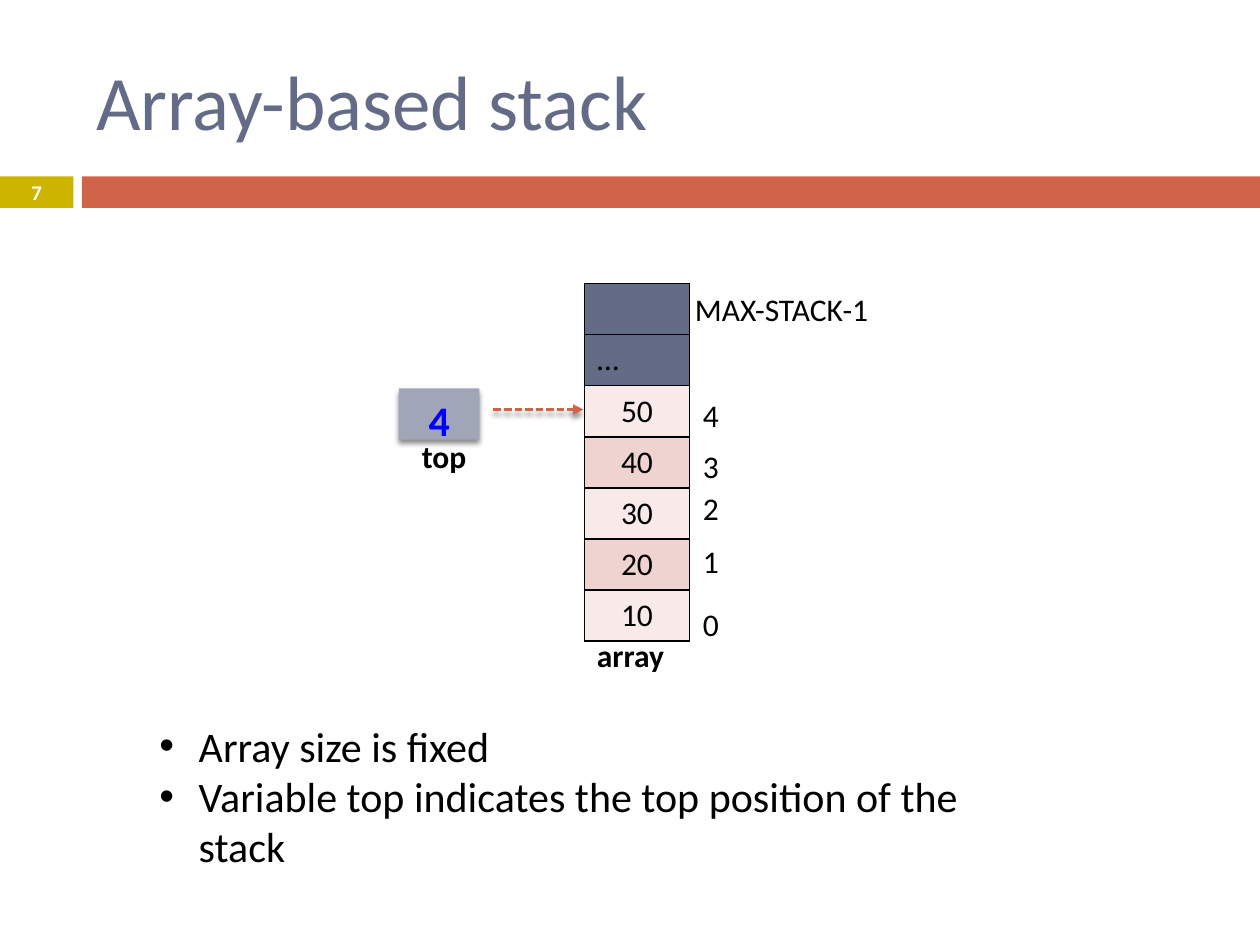
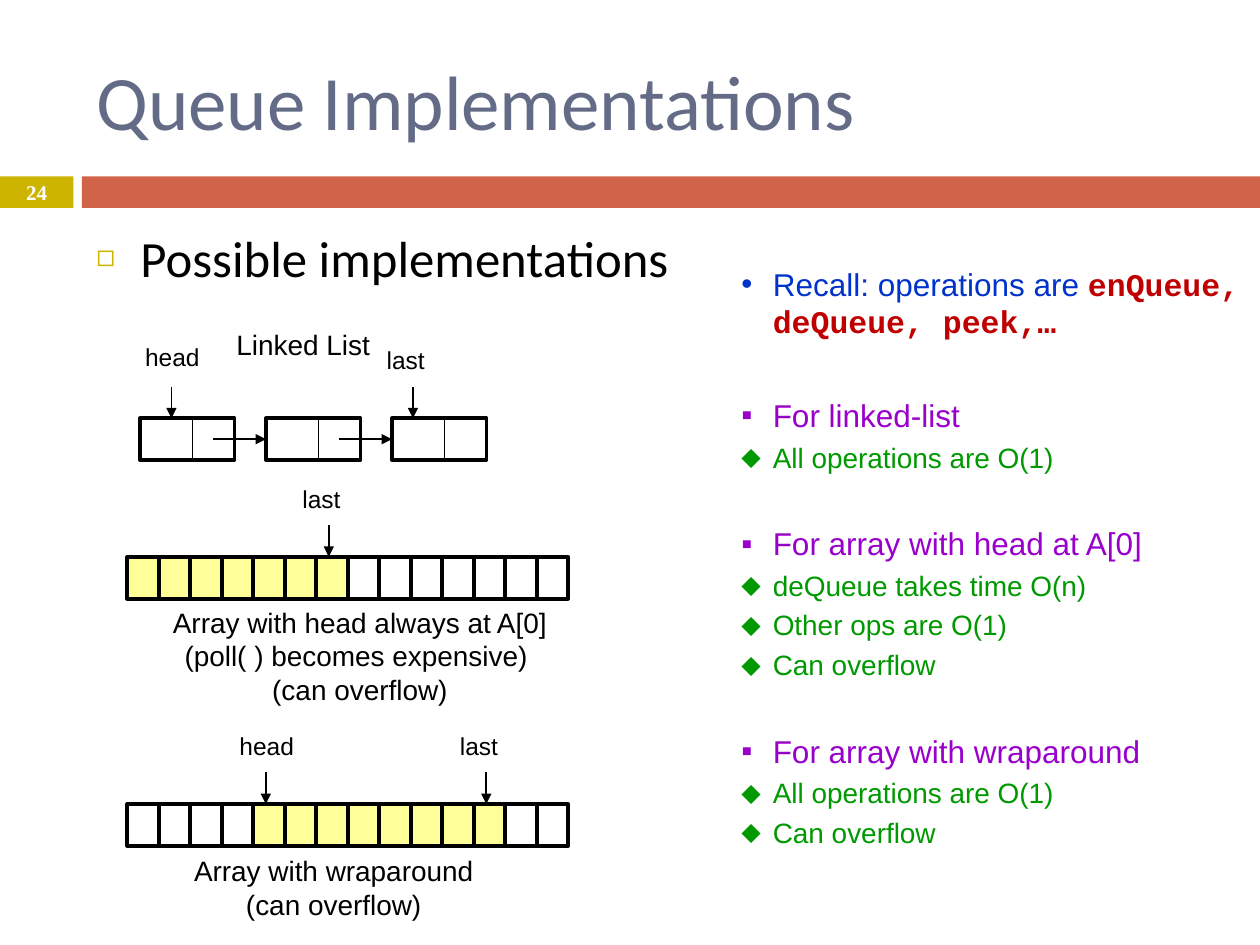
from copy import deepcopy

from lxml import etree
from pptx import Presentation
from pptx.dml.color import RGBColor
from pptx.enum.dml import MSO_LINE
from pptx.enum.shapes import MSO_CONNECTOR, MSO_SHAPE
from pptx.enum.text import MSO_ANCHOR, PP_ALIGN
from pptx.oxml.ns import qn
from pptx.util import Pt

STRAIGHT = MSO_CONNECTOR.STRAIGHT
RECTANGLE = MSO_SHAPE.RECTANGLE
DASHED = MSO_LINE.SQUARE_DOT
LEFT, CENTER = PP_ALIGN.LEFT, PP_ALIGN.CENTER
TOP, MIDDLE = MSO_ANCHOR.TOP, MSO_ANCHOR.MIDDLE

BLACK = RGBColor(0x00, 0x00, 0x00)
WHITE = RGBColor(0xFF, 0xFF, 0xFF)
SLATE = RGBColor(0x64, 0x6B, 0x86)
PALE_SLATE = RGBColor(0xA0, 0xA5, 0xB8)
GOLD = RGBColor(0xCC, 0xB4, 0x00)
RUST = RGBColor(0xD1, 0x63, 0x49)
LIGHT_PINK = RGBColor(0xF7, 0xEA, 0xE9)
PINK = RGBColor(0xEE, 0xD3, 0xD0)
BRIGHT_BLUE = RGBColor(0x00, 0x00, 0xFF)
BLUE = RGBColor(0x00, 0x33, 0xCC)
RED = RGBColor(0xC0, 0x00, 0x00)
PURPLE = RGBColor(0x99, 0x00, 0xCC)
GREEN = RGBColor(0x00, 0x99, 0x00)
YELLOW = RGBColor(0xFF, 0xFF, 0x99)

PLAIN = (7.2, 3.6, 7.2, 3.6)
TIGHT = (2.88, 0, 2.88, 0)
CELL = 18
CELL_HEIGHT = 24
CELL_COUNT = 14


def points(values):
    return [Pt(value) for value in values]


def child(parent, tag, **attributes):
    return etree.SubElement(parent, qn(tag), attributes)


def format_span(span, size=18, font="Calibri", color=BLACK, bold=False):
    span.font.size = Pt(size)
    span.font.name = font
    span.font.color.rgb = color
    span.font.bold = bold


def write(para, text, align=LEFT, **style):
    para.text = text
    para.alignment = align
    for span in para.runs:
        format_span(span, **style)
    for line_break in para._p.findall(qn("a:br")):
        line_break.append(deepcopy(para.runs[0]._r.rPr))


def add_bullet(para, symbol, color, indent, hanging, scale=100):
    props = para._p.get_or_add_pPr()
    props.set("marL", str(Pt(indent)))
    props.set("indent", str(-Pt(hanging)))
    child(child(props, "a:buClr"), "a:srgbClr", val=str(color))
    child(props, "a:buSzPct", val=str(scale * 1000))
    child(props, "a:buFont", typeface="Arial")
    child(props, "a:buChar", char=symbol)


def prepare_frame(shape, anchor=TOP, insets=PLAIN):
    frame = shape.text_frame
    frame.word_wrap = True
    frame.vertical_anchor = anchor
    (frame.margin_left, frame.margin_top,
     frame.margin_right, frame.margin_bottom) = points(insets)
    return frame


def add_text(page, text, box, anchor=TOP, insets=PLAIN, **style):
    shape = page.shapes.add_textbox(*points(box))
    frame = prepare_frame(shape, anchor, insets)
    write(frame.paragraphs[0], text, **style)
    return frame


def set_effects(shape, shadow=False):
    effects = child(shape._element.spPr, "a:effectLst")
    if shadow:
        outer = child(effects, "a:outerShdw", blurRad=str(Pt(3)), dist=str(Pt(2.4)),
                      dir="5400000", rotWithShape="0")
        child(child(outer, "a:srgbClr", val=str(BLACK)), "a:alpha", val="45000")


def add_box(page, box, fill=None, outline=None, shadow=False):
    shape = page.shapes.add_shape(RECTANGLE, *points(box))
    if fill is None:
        shape.fill.background()
    else:
        shape.fill.solid()
        shape.fill.fore_color.rgb = fill
    if outline is None:
        shape.line.fill.background()
    else:
        shape.line.color.rgb = outline
        shape.line.width = Pt(2)
    set_effects(shape, shadow)
    return shape


def add_line(page, start, end, color=BLACK, width=1, arrow=True, dash=None, shadow=False):
    line = page.shapes.add_connector(STRAIGHT, *points(start + end))
    line.line.color.rgb = color
    line.line.width = Pt(width)
    if dash is not None:
        line.line.dash_style = dash
    if arrow:
        child(line.line._get_or_add_ln(), "a:tailEnd", type="triangle")
    set_effects(line, shadow)


def add_page(deck, title, number, **number_style):
    page = deck.slides.add_slide(deck.slide_layouts[6])
    add_box(page, (0, 100.8, 42, 18), GOLD)
    add_box(page, (46.8, 100.8, 673.2, 18), RUST)
    add_text(page, title, (48, 18, 642, 78), anchor=MIDDLE, size=44, color=SLATE)
    add_text(page, number, (0, 100, 42, 19.5), anchor=MIDDLE, align=CENTER,
             color=WHITE, bold=True, **number_style)
    return page


def format_cell(cell, text, fill, align):
    cell.vertical_anchor = TOP
    if text:
        write(cell.text_frame.paragraphs[0], text, align=align)
    props = cell._tc.get_or_add_tcPr()
    for side in ("a:lnL", "a:lnR", "a:lnT", "a:lnB"):
        border = child(props, side, w=str(Pt(1)))
        child(child(border, "a:solidFill"), "a:srgbClr", val=str(BLACK))
    cell.fill.solid()
    cell.fill.fore_color.rgb = fill


def draw_stack_array(page, box):
    left, top, width, height = box
    values = ("", "…", "50", "40", "30", "20", "10")
    table = page.shapes.add_table(len(values), 1, *points(box)).table
    table.first_row = table.horz_banding = False
    for index, value in enumerate(values):
        table.rows[index].height = Pt(height / len(values))
        if index < 2:
            fill, align = SLATE, LEFT
        else:
            fill, align = (LIGHT_PINK, PINK)[index % 2], CENTER
        format_cell(table.cell(index, 0), value, fill, align)
    add_text(page, "array", (left, top + 198, 58, 29), bold=True)
    add_text(page, "MAX-STACK-1", (left + 56, top, 120, 29))
    for index, offset in enumerate((180, 144, 114, 90, 61)):
        add_text(page, str(index), (left + 60.6, top + offset, 26, 29))


def draw_top_variable(page, box):
    left, top, width, height = box
    add_line(page, (left + 54, top + 12), (left + 105.4, top + 12), color=RUST,
             width=1.5, dash=DASHED, shadow=True)
    add_text(page, "top", (left + 6, top + 24, 60, 29), bold=True)
    frame = prepare_frame(add_box(page, box, PALE_SLATE, shadow=True))
    write(frame.paragraphs[0], "4", align=CENTER, size=24, color=BRIGHT_BLUE, bold=True)


def draw_stack_notes(page, box):
    notes = ("Array size is fixed", "Variable top indicates the top position of the stack")
    frame = add_text(page, notes[0], box, size=24)
    write(frame.add_paragraph(), notes[1], size=24)
    for para in frame.paragraphs:
        add_bullet(para, "•", BLACK, 22.5, 22.5)


def draw_pointer(page, label, x, tip, gap=41.5):
    add_line(page, (x, tip - 18), (x, tip))
    add_text(page, label, (x - 18, tip - gap, 48, 24), insets=TIGHT, size=14, font="Arial")


def draw_linked_list(page, box):
    left, top, width, height = box
    pitch = 72
    middle = top + height / 2
    add_text(page, "Linked List", (left + 49, top - 55, 88.5, 25), anchor=MIDDLE,
             insets=TIGHT, align=CENTER, size=16, font="Arial")
    for index in range(3):
        node = left + index * pitch
        add_box(page, (node, top, 54, height), outline=BLACK)
        add_line(page, (node + 30, top), (node + 30, top + height), arrow=False)
        if index < 2:
            add_line(page, (node + 42, middle), (node + pitch, middle))
    draw_pointer(page, "head", left + 18, top, gap=43.5)
    draw_pointer(page, "last", left + 156, top, gap=42)


def draw_array_queue(page, box, used, pointers, caption, caption_box):
    left, top, width, height = box
    for index in range(CELL_COUNT):
        add_box(page, (left + index * CELL, top, CELL, height),
                YELLOW if index in used else None, BLACK)
    for label, index in pointers:
        draw_pointer(page, label, left + (index + 0.4) * CELL, top)
    x, y, caption_width, caption_height = caption_box
    add_text(page, caption, (left + x, top + y, caption_width, caption_height),
             anchor=MIDDLE, insets=TIGHT, align=CENTER, size=16, font="Arial")


def draw_operation_costs(page, box):
    frame = add_text(page, "Recall: operations are ", box, insets=(0, 0, 2.88, 0),
                     font="Arial", color=BLUE)
    recall = frame.paragraphs[0]
    span = recall.add_run()
    span.text = "enQueue, deQueue, peek,…"
    format_span(span, font="Courier New", color=RED, bold=True)
    recall.space_before = Pt(4.1)
    add_bullet(recall, "•", BLUE, 21.6, 18)
    sections = (
        ("For linked-list", 32, ("All operations are O(1)",)),
        ("For array with head at A[0]", 29,
         ("deQueue takes time O(n)", "Other ops are O(1)", "Can overflow")),
        ("For array with wraparound", 29, ("All operations are O(1)", "Can overflow")),
    )
    for heading, gap, costs in sections:
        rows = [(heading, gap, "▪", PURPLE, 18)]
        rows += [(cost, 3.5, "⬥", GREEN, 16) for cost in costs]
        for text, before, symbol, color, size in rows:
            para = frame.add_paragraph()
            write(para, text, size=size, font="Arial", color=color)
            para.space_before = Pt(before)
            add_bullet(para, symbol, color, 21.6, 18)


def build_stack_page(deck):
    page = add_page(deck, "Array-based stack", "7", size=11.9)
    draw_stack_array(page, (334, 162, 60, 204.4))
    draw_top_variable(page, (228, 222, 46, 29.2))
    draw_stack_notes(page, (84, 408, 520, 66))


def build_queue_page(deck):
    page = add_page(deck, "Queue Implementations", "24", size=12, font="Times New Roman")
    frame = add_text(page, "Possible implementations", (48, 126, 642, 354), size=29)
    add_bullet(frame.paragraphs[0], "◻", GOLD, 25.2, 25.2, scale=60)
    draw_operation_costs(page, (420, 151.2, 300, 335))
    draw_linked_list(page, (80, 239, 198, CELL_HEIGHT))
    array_width = CELL * CELL_COUNT
    draw_array_queue(page, (72.7, 459.4, array_width, CELL_HEIGHT), range(4, 12),
                     (("head", 4), ("last", 11)),
                     "Array with wraparound\n(can overflow)", (19.5, 26, 197, 43))
    draw_array_queue(page, (72.7, 318.2, array_width, CELL_HEIGHT), range(7),
                     (("last", 6),),
                     "Array with head always at A[0]\n(poll( ) becomes expensive) \n(can overflow)",
                     (7, 26, 252, 61))


def main():
    deck = Presentation()
    deck.slide_width, deck.slide_height = Pt(720), Pt(540)
    build_stack_page(deck)
    build_queue_page(deck)
    deck.save("out.pptx")


if __name__ == "__main__":
    main()
